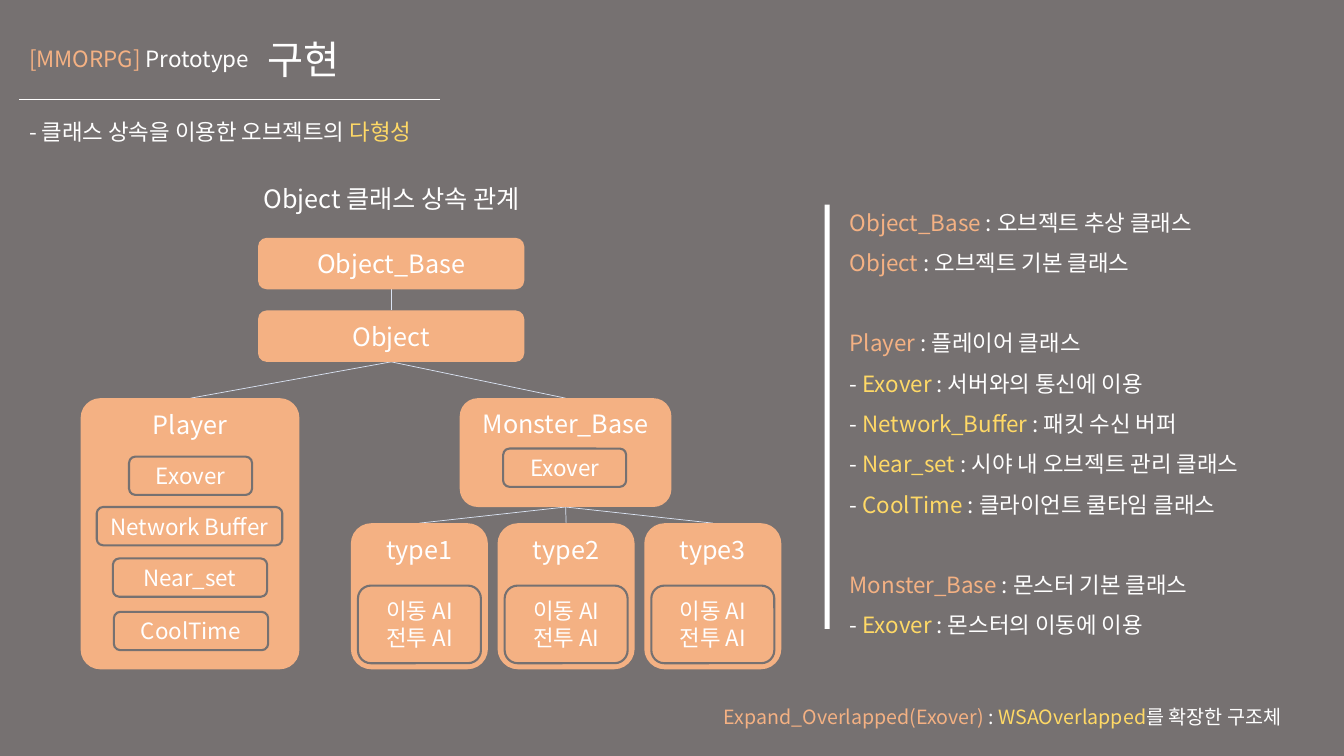
"""Builds a slide on the class inheritance of game objects."""
from lxml import etree
from pptx import Presentation
from pptx.dml.color import RGBColor
from pptx.enum.shapes import MSO_CONNECTOR, MSO_SHAPE
from pptx.enum.text import MSO_ANCHOR, PP_ALIGN
from pptx.oxml.ns import qn
from pptx.util import Inches, Pt

STRAIGHT = MSO_CONNECTOR.STRAIGHT
ROUNDED, RECTANGLE = MSO_SHAPE.ROUNDED_RECTANGLE, MSO_SHAPE.RECTANGLE
TOP, MIDDLE = MSO_ANCHOR.TOP, MSO_ANCHOR.MIDDLE
LEFT, CENTER = PP_ALIGN.LEFT, PP_ALIGN.CENTER
GRAY = RGBColor(0x76, 0x71, 0x71)
ORANGE = RGBColor(0xF4, 0xB1, 0x83)
YELLOW = RGBColor(0xFF, 0xD9, 0x66)
WHITE = RGBColor(0xFF, 0xFF, 0xFF)
PALE_BLUE = RGBColor(0xDA, 0xE3, 0xF3)
FONT = "Noto Sans CJK KR"

deck = Presentation()
deck.slide_width, deck.slide_height = Inches(13.33), Inches(7.5)
page = deck.slides.add_slide(deck.slide_layouts[6])
page.background.fill.solid()
page.background.fill.fore_color.rgb = GRAY


def write(text, at, size=16, spacing=1.0, anchor=TOP, align=LEFT, box=None, gaps=()):
    """Writes paragraphs of (words, colour) spans into a box, new unless given."""
    box = box or page.shapes.add_textbox(*map(Inches, at))
    frame = box.text_frame
    frame.word_wrap = True
    frame.vertical_anchor = anchor
    for index, spans in enumerate(text):
        para = frame.paragraphs[0] if index == 0 else frame.add_paragraph()
        para.alignment = align
        para.line_spacing = spacing
        if index in gaps:
            para.space_before = Pt(28.8)
        for words, color in spans:
            span = para.add_run()
            span.text = words
            span.font.size = Pt(size)
            span.font.name = FONT
            span.font.color.rgb = color
            etree.SubElement(span.font._element, qn("a:ea"), typeface=FONT)


def add_card(label, at, filled=True, size=18, anchor=MIDDLE, corner=0.1667):
    """Adds a rounded card, either filled or outlined, with a centred label."""
    card = page.shapes.add_shape(ROUNDED, *map(Inches, at))
    card.shadow.inherit = False
    card.adjustments[0] = corner
    if filled:
        card.fill.solid()
        card.fill.fore_color.rgb = ORANGE
        card.line.fill.background()
    else:
        card.fill.background()
        card.line.color.rgb = GRAY
        card.line.width = Pt(1.5)
    write([[(label, WHITE)]], at, size=size, anchor=anchor, align=CENTER, box=card)


write([[("[MMORPG] ", ORANGE), ("Prototype", WHITE)]], (0.19, 0.4, 2.98, 0.37))
write([[("구현", WHITE)]], (2.56, 0.17, 1.8, 0.89), size=28, spacing=0.9, anchor=MIDDLE)
write([[("- 클래스 상속을 이용한 오브젝트의 ", WHITE), ("다형성", YELLOW)]],
      (0.19, 0.99, 7.67, 0.45), spacing=1.5)
write([[("Object 클래스 상속 관계", WHITE)]], (2.24, 1.68, 3.29, 0.57),
      size=18, anchor=MIDDLE, align=CENTER)

root_x, monster_x = 3.88, 5.61
type_lefts = [3.48 + 1.455 * index for index in range(3)]
lines = [
    (4.36, 0.99, 0.19, 0.99, WHITE),
    (root_x, 3.08, root_x, 2.87, PALE_BLUE),
    (root_x, 3.59, 1.89, 3.95, PALE_BLUE),
    (root_x, 3.59, monster_x, 3.95, PALE_BLUE),
]
lines += [(left + 0.68, 5.19, monster_x, 5.03, PALE_BLUE) for left in type_lefts]
for *ends, color in lines:
    link = page.shapes.add_connector(STRAIGHT, *map(Inches, ends))
    link.line.color.rgb = color
    link.line.width = Pt(0.5)
    etree.SubElement(link._element.spPr, qn("a:effectLst"))

add_card("Object_Base", (2.56, 2.36, 2.64, 0.51))
add_card("Object", (2.56, 3.08, 2.64, 0.51))
add_card("Player", (0.8, 3.95, 2.17, 2.69), anchor=TOP, corner=0.09)
add_card("Monster_Base", (4.56, 3.95, 2.1, 1.08), anchor=TOP)
for number, left in enumerate(type_lefts, 1):
    add_card(f"type{number}", (left, 5.19, 1.36, 1.45), anchor=TOP, corner=0.15)
    add_card("이동 AI 전투 AI", (left + 0.07, 5.81, 1.22, 0.77), filled=False, size=16)

members = [
    ("Exover", 4.99, 4.45, 1.22),
    ("Exover", 1.28, 4.53, 1.22),
    ("Network Buffer", 0.96, 5.03, 1.84),
    ("Near_set", 1.12, 5.54, 1.53),
    ("CoolTime", 1.13, 6.07, 1.53),
]
for label, left, top, width in members:
    add_card(label, (left, top, width, 0.38), filled=False, size=16)

bar = page.shapes.add_shape(RECTANGLE, Inches(8.18), Inches(2.03), Inches(0.05), Inches(4.21))
bar.shadow.inherit = False
bar.fill.solid()
bar.fill.fore_color.rgb = WHITE
bar.line.fill.background()

legend = [
    ("", "Object_Base", "오브젝트 추상 클래스"),
    ("", "Object", "오브젝트 기본 클래스"),
    ("", "Player", "플레이어 클래스"),
    ("- ", "Exover", "서버와의 통신에 이용"),
    ("- ", "Network_Buffer", "패킷 수신 버퍼"),
    ("- ", "Near_set", "시야 내 오브젝트 관리 클래스"),
    ("- ", "CoolTime", "클라이언트 쿨타임 클래스"),
    ("", "Monster_Base", "몬스터 기본 클래스"),
    ("- ", "Exover", "몬스터의 이동에 이용"),
]
legend_text = []
for dash, name, meaning in legend:
    spans = [(f"{name} ", YELLOW if dash else ORANGE), (f": {meaning}", WHITE)]
    legend_text.append([(dash, WHITE)] + spans if dash else spans)
write(legend_text, (8.33, 2.03, 4.58, 4.21), spacing=1.5, anchor=MIDDLE, gaps=(2, 7))

write([[("Expand_Overlapped(Exover) ", ORANGE), (": ", WHITE),
        ("WSAOverlapped", YELLOW), ("를 확장한 구조체", WHITE)]],
      (7.08, 6.83, 5.97, 0.41), size=14, spacing=1.5)

deck.save("out.pptx")
